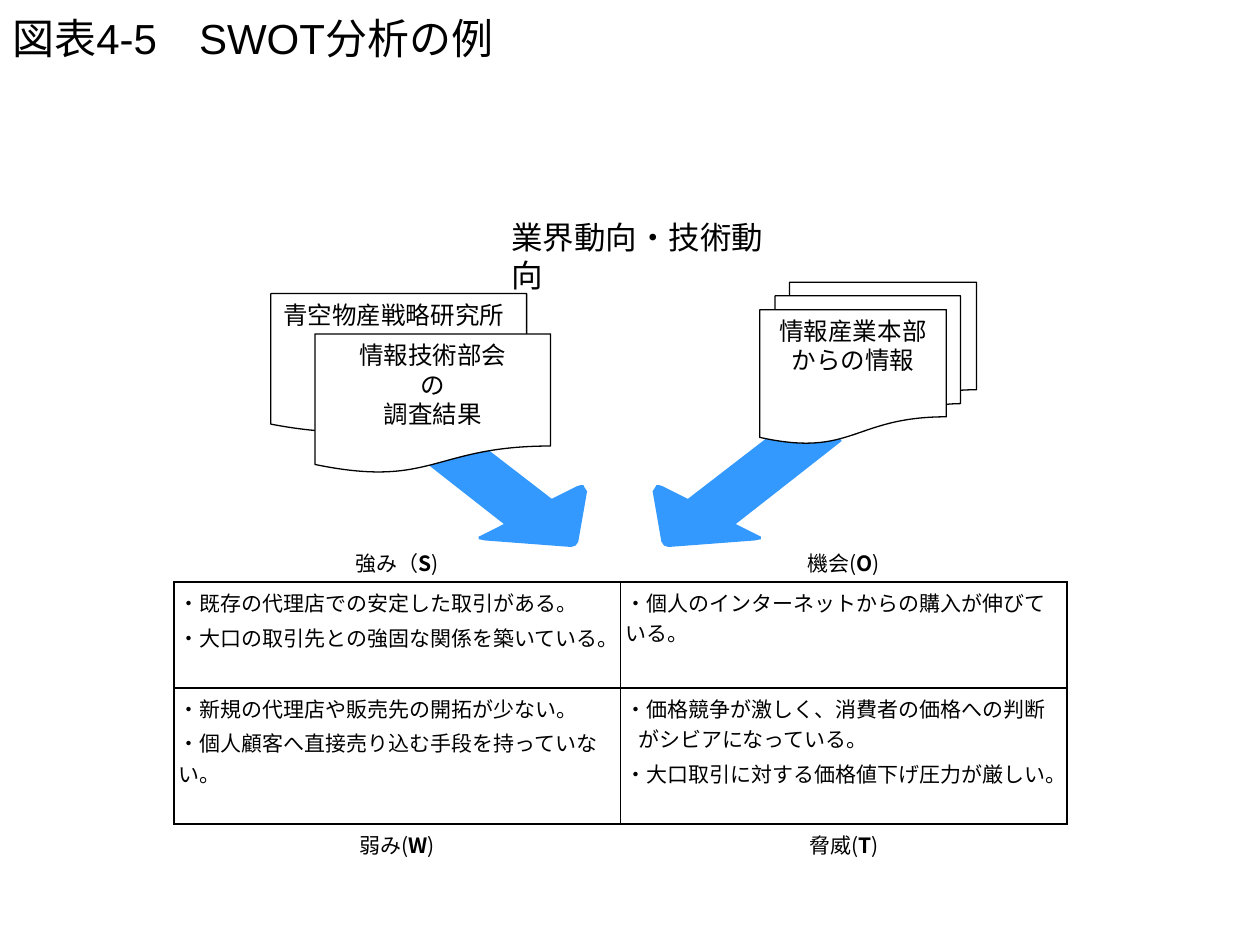
from lxml.etree import SubElement
from pptx import Presentation
from pptx.dml.color import RGBColor
from pptx.enum.shapes import MSO_SHAPE as SHAPE
from pptx.enum.text import MSO_ANCHOR as ANCHOR, PP_ALIGN as ALIGN
from pptx.oxml.ns import qn
from pptx.util import Inches, Pt

COLORS = {"ink": "000000", "paper": "FFFFFF", "arrow": "3399FF"}
LATIN, JAPANESE = "Arial", "Noto Sans CJK JP"

# Arrow pointing down and right, relative to its box
ARROW_WIDTH = 1.5
ARROW_POINTS = [
    (0.84, 0.85), (0.68, 0.93), (0.64, 0.95), (0.64, 0.97), (0.69, 0.98),
    (1.35, 1.03), (1.38, 1.03), (1.41, 1.02), (1.43, 0.99), (1.5, 0.59),
    (1.48, 0.56), (1.47, 0.54), (1.45, 0.54), (1.42, 0.55), (1.22, 0.65),
    (0.39, 0.01), (0.37, 0), (0.34, 0), (0.3, 0.02), (0.03, 0.15),
    (0, 0.19), (0.01, 0.2),
]

# Each cell is a list of paragraphs; a label is (before, bold letter, after)
SWOT = [
    [("強み（", "S", ")"), ("機会(", "O", ")")],
    [["・既存の代理店での安定した取引がある。",
      "・大口の取引先との強固な関係を築いている。"],
     ["・個人のインターネットからの購入が伸びている。"]],
    [["・新規の代理店や販売先の開拓が少ない。",
      "・個人顧客へ直接売り込む手段を持っていない。"],
     ["・価格競争が激しく、消費者の価格への判断がシビアになっている。",
      "・大口取引に対する価格値下げ圧力が厳しい。"]],
    [("弱み(", "W", ")"), ("脅威(", "T", ")")],
]
ROW_HEIGHTS = [0.32, 0.84, 1.08, 0.32]


def rgb(name):
    return RGBColor.from_string(COLORS[name])


def paint(fill, name):
    fill.solid()
    fill.fore_color.rgb = rgb(name)


def style(paragraph, size, font=JAPANESE, align=ALIGN.LEFT):
    paragraph.alignment = align
    paragraph.font.size = Pt(size)
    paragraph.font.name = font
    paragraph.font.color.rgb = rgb("ink")


def add_heading(slide, left, top, width, height, text, size, wrap=True):
    frame = slide.shapes.add_textbox(
        Inches(left), Inches(top), Inches(width), Inches(height)).text_frame
    frame.word_wrap = wrap
    frame.vertical_anchor = ANCHOR.MIDDLE
    frame.text = text
    style(frame.paragraphs[0], size, LATIN)


def add_arrow(slide, left, top, mirrored=False):
    points = [(Inches(left + (ARROW_WIDTH - x if mirrored else x)), Inches(top + y))
              for x, y in ARROW_POINTS]
    builder = slide.shapes.build_freeform(*points[0], scale=1.0)
    builder.add_line_segments(points[1:], close=True)
    arrow = builder.convert_to_shape()
    arrow.shadow.inherit = False
    paint(arrow.fill, "arrow")
    arrow.line.fill.background()


def add_document(slide, kind, left, top, width, height, text, align=ALIGN.CENTER):
    document = slide.shapes.add_shape(
        kind, Inches(left), Inches(top), Inches(width), Inches(height))
    document.shadow.inherit = False
    paint(document.fill, "paper")
    document.line.color.rgb = rgb("ink")
    document.line.width = Pt(0.75)
    frame = document.text_frame
    frame.word_wrap = True
    frame.vertical_anchor = ANCHOR.TOP
    frame.text = text
    for paragraph in frame.paragraphs:
        style(paragraph, 14, align=align)


def set_borders(cell, sides):
    """Draw the given sides (from L, R, T, B) and clear the others."""
    properties = cell._tc.get_or_add_tcPr()
    for position, side in enumerate("LRTB"):
        line = SubElement(properties, qn(f"a:ln{side}"), w=str(Pt(1)))
        if side in sides:
            fill = SubElement(line, qn("a:solidFill"))
            SubElement(fill, qn("a:srgbClr"), val=COLORS["ink"])
        else:
            SubElement(line, qn("a:noFill"))
        properties.insert(position, line)


def fill_label(cell, parts):
    paragraph = cell.text_frame.paragraphs[0]
    for part in parts:
        paragraph.add_run().text = part
    paragraph.runs[1].font.bold = True
    style(paragraph, 12, align=ALIGN.CENTER)


def fill_points(cell, points):
    cell.text_frame.text = "\n".join(points)
    for number, paragraph in enumerate(cell.text_frame.paragraphs):
        if number:
            paragraph.space_before = Pt(2.4)
        style(paragraph, 12)


def add_swot_table(slide, left, top, width):
    table = slide.shapes.add_table(
        len(SWOT), 2, Inches(left), Inches(top), Inches(width),
        Inches(sum(ROW_HEIGHTS))).table
    table.first_row = table.horz_banding = False
    for row, height in zip(table.rows, ROW_HEIGHTS):
        row.height = Inches(height)
    for r, entries in enumerate(SWOT):
        for c, entry in enumerate(entries):
            cell = table.cell(r, c)
            cell.margin_left = cell.margin_right = Inches(0.04)
            cell.margin_top = cell.margin_bottom = Inches(0.04)
            paint(cell.fill, "paper")
            if isinstance(entry, tuple):
                fill_label(cell, entry)
                set_borders(cell, "B" if r == 0 else "T")
            else:
                fill_points(cell, entry)
                set_borders(cell, "LRTB")
    hanging = table.cell(2, 1).text_frame.paragraphs[0]._p.get_or_add_pPr()
    hanging.set("marL", str(Inches(0.1)))
    hanging.set("indent", str(-Inches(0.1)))


def add_sources(slide, left, top):
    """Place the documents and the arrows that lead down to the table."""
    add_arrow(slide, left + 1.01, top + 1.48)
    add_arrow(slide, left + 3.03, top + 1.48, mirrored=True)
    add_document(slide, SHAPE.FLOWCHART_DOCUMENT, left, top + 0.5, 2.03, 1.11,
                 "青空物産戦略研究所", ALIGN.LEFT)
    add_document(slide, SHAPE.FLOWCHART_MULTIDOCUMENT, left + 3.88, top + 0.41,
                 1.72, 1.28, "情報産業本部\vからの情報")
    add_document(slide, SHAPE.FLOWCHART_DOCUMENT, left + 0.35, top + 0.82, 1.87, 1.11,
                 "情報技術部会\nの\n調査結果")
    add_heading(slide, left + 1.81, top, 2.35, 0.4, "業界動向・技術動向", 18, wrap=False)


def main():
    deck = Presentation()
    deck.slide_width, deck.slide_height = Inches(10), Inches(7.5)
    slide = deck.slides.add_slide(deck.slide_layouts[6])
    add_heading(slide, 0, 0, 10, 0.6, "図表4-5　SWOT分析の例", 24)
    add_swot_table(slide, 1.38, 4.3, 7.09)
    add_sources(slide, 2.15, 1.83)
    deck.save("out.pptx")


if __name__ == "__main__":
    main()
